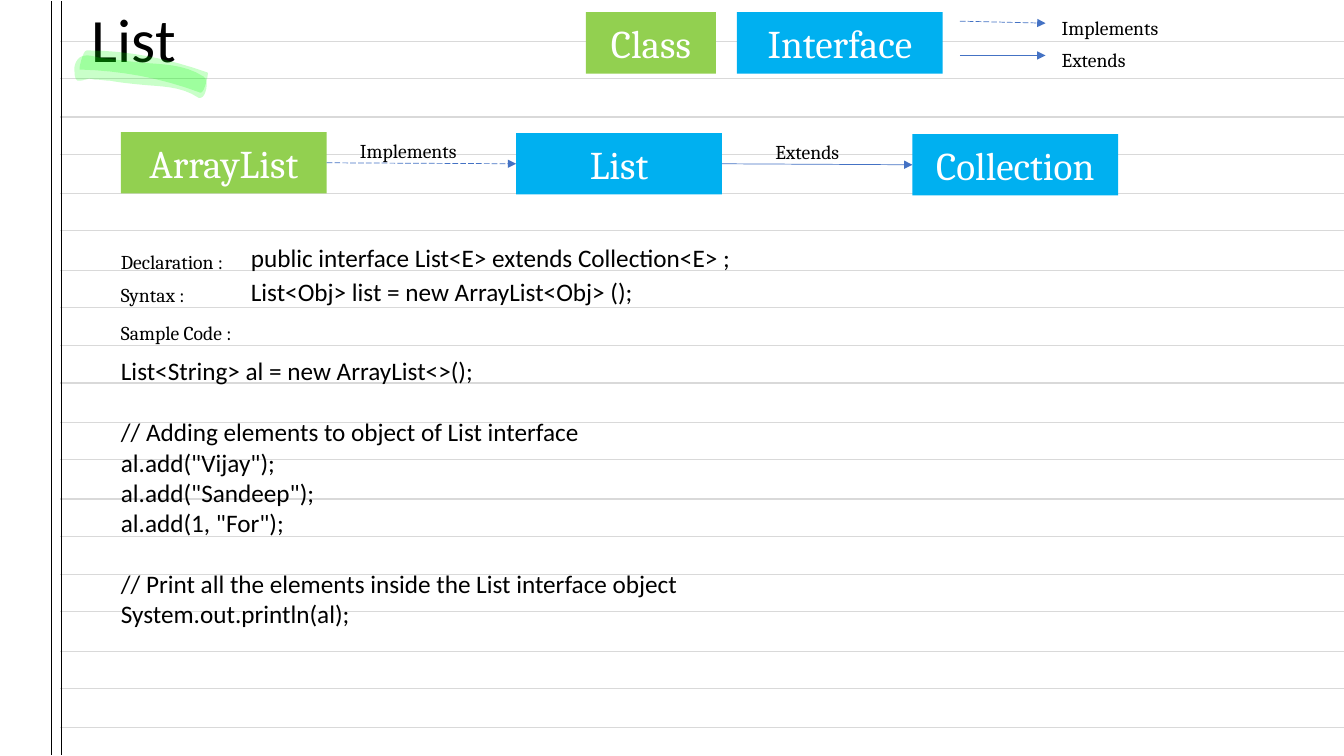
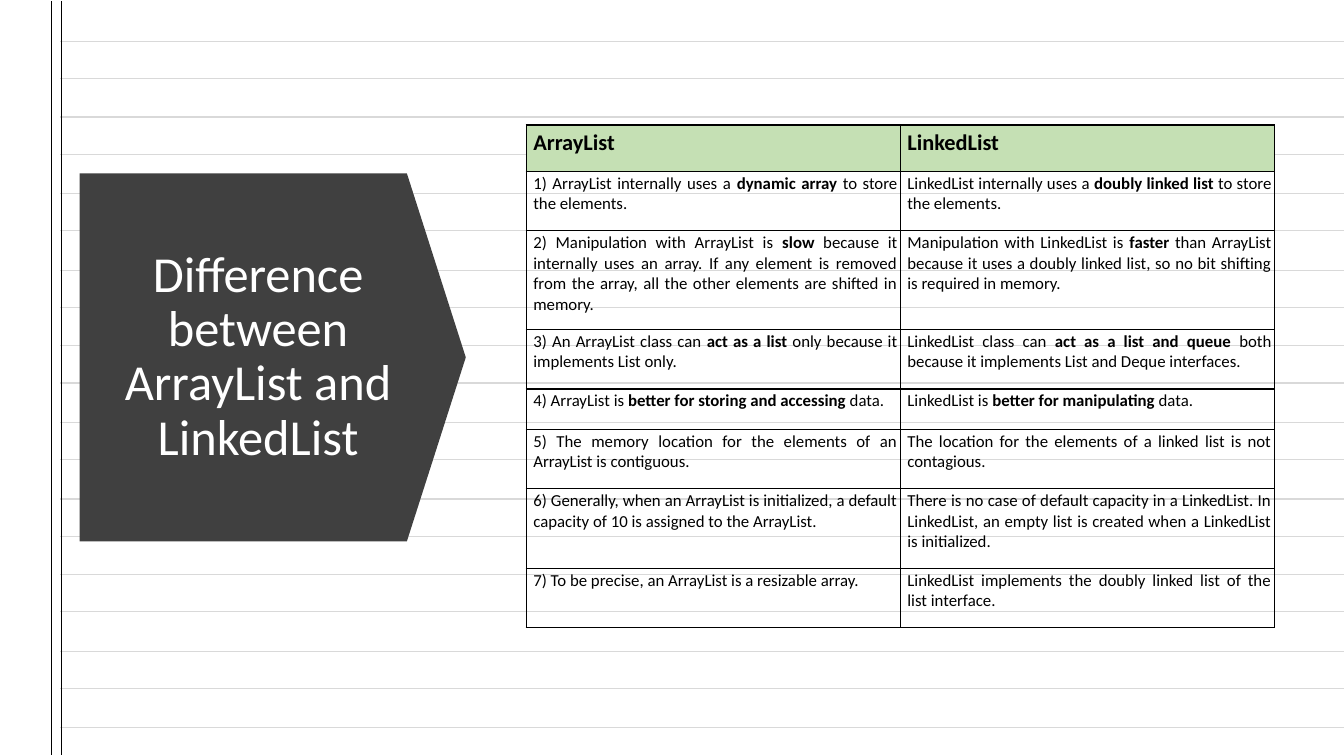
from dataclasses import dataclass, field
from typing import Any

from lxml.etree import SubElement
from pptx import Presentation
from pptx.dml.color import RGBColor
from pptx.enum.dml import MSO_LINE
from pptx.enum.shapes import MSO_CONNECTOR, MSO_SHAPE
from pptx.enum.text import MSO_ANCHOR as Anchor, PP_ALIGN as Align
from pptx.oxml.ns import qn
from pptx.util import Emu, Pt

# Scale, colours and fonts
EMU_PER_PX = 9144
WIDTH, HEIGHT = 1333, 750
BLACK, WHITE, RULE_GREY, CHARCOAL = "000000", "FFFFFF", "D9D9D9", "404040"
CLASS_GREEN, INTERFACE_BLUE, ARROW_BLUE = "92D050", "00B0F0", "4472C4"
MARKER_GREEN, HEADER_GREEN = "00FF00", "C5E0B4"
SANS, SERIF = "Calibri", "Cambria"

# Ruled paper: lines come in pairs, three pairs to 227 px
RULE_START, RULE_COUNT, PAIR_OFFSET = 41, 19, 37
MARGIN_LINES = (51, 61)


def px(value: float) -> Emu:
    return Emu(round(value * EMU_PER_PX))


def rgb(value: str) -> RGBColor:
    return RGBColor.from_string(value)


@dataclass(frozen=True)
class Style:
    font: dict[str, Any]
    color: str = BLACK
    paragraph: dict[str, Any] = field(default_factory=dict)
    anchor: Any = Anchor.TOP
    insets: tuple[int, int, int, int] = (10, 5, 10, 5)


@dataclass(frozen=True)
class Label:
    text: str
    left: int
    top: int
    width: int
    height: int
    style: Style


@dataclass(frozen=True)
class TypeBox:
    text: str
    left: int
    top: int
    width: int
    fill: str


@dataclass(frozen=True)
class Arrow:
    start: tuple[int, int]
    end: tuple[int, int]
    dashed: bool


NO_INSETS = (0, 0, 0, 0)
TITLE = Style({"name": SANS, "size": Pt(44)}, paragraph={"line_spacing": 0.9}, insets=NO_INSETS)
ARROW_TITLE = Style({"name": SANS, "size": Pt(36)}, WHITE,
                    {"line_spacing": 0.9, "alignment": Align.CENTER}, Anchor.MIDDLE)
CAPTION = Style({"name": SERIF, "size": Pt(14)}, paragraph={"line_spacing": 1.3}, insets=NO_INSETS)
CODE = Style({"name": SANS, "size": Pt(18)})
BOX = Style({"name": SERIF, "size": Pt(28)}, WHITE, {"alignment": Align.CENTER}, Anchor.MIDDLE)
HEADER = Style({"name": SANS, "size": Pt(16), "bold": True}, anchor=Anchor.BOTTOM,
               insets=(7, 2, 5, 15))
CELL = Style({"name": SANS, "size": Pt(12)}, paragraph={"alignment": Align.JUSTIFY},
             insets=(7, 2, 3, 15))


# Text
def set_all(target: Any, values: dict[str, Any]) -> None:
    for name, value in values.items():
        setattr(target, name, value)


def write_paragraph(paragraph: Any, text: str, style: Style) -> None:
    """Write one paragraph; parts between asterisks are bold."""
    set_all(paragraph, style.paragraph)
    for index, part in enumerate(text.split("*")):
        if part:
            run = paragraph.add_run()
            run.text = part
            set_all(run.font, {"bold": index % 2 == 1} | style.font)
            run.font.color.rgb = rgb(style.color)


def set_margins(target: Any, style: Style) -> None:
    sides = ("margin_left", "margin_top", "margin_right", "margin_bottom")
    set_all(target, {side: px(inset) for side, inset in zip(sides, style.insets)})
    target.vertical_anchor = style.anchor


def add_label(slide: Any, label: Label) -> Any:
    box = slide.shapes.add_textbox(*map(px, (label.left, label.top, label.width, label.height)))
    frame = box.text_frame
    frame.word_wrap = True
    set_margins(frame, label.style)
    write_paragraph(frame.paragraphs[0], label.text, label.style)
    return frame


# Shapes and lines
def paint(shape: Any, fill: str) -> None:
    shape.shadow.inherit = False
    shape.fill.solid()
    shape.fill.fore_color.rgb = rgb(fill)
    shape.line.fill.background()


def add_type_box(slide: Any, box: TypeBox) -> Any:
    shape = slide.shapes.add_shape(
        MSO_SHAPE.RECTANGLE, *map(px, (box.left, box.top, box.width, 61)))
    paint(shape, box.fill)
    set_margins(shape.text_frame, BOX)
    write_paragraph(shape.text_frame.paragraphs[0], box.text, BOX)
    return shape


def add_line(slide: Any, start: tuple[int, int], end: tuple[int, int],
             color: str, width: float) -> Any:
    line = slide.shapes.add_connector(MSO_CONNECTOR.STRAIGHT, *map(px, start + end))
    line.line.color.rgb = rgb(color)
    line.line.width = Pt(width)
    SubElement(line._element.spPr, qn("a:effectLst"))
    return line


def add_arrow(slide: Any, arrow: Arrow) -> Any:
    line = add_line(slide, arrow.start, arrow.end, ARROW_BLUE, 0.5)
    if arrow.dashed:
        line.line.dash_style = MSO_LINE.LONG_DASH
    SubElement(line.line._get_or_add_ln(), qn("a:tailEnd"), type="triangle")
    return line


def curve_points(start: tuple, curve: tuple, steps: int = 8) -> list[tuple[float, float]]:
    """Points along a cubic curve given by two controls and an end."""
    points = (start, curve[0:2], curve[2:4], curve[4:6])
    result = []
    for step in range(1, steps + 1):
        t = step / steps
        weights = ((1 - t) ** 3, 3 * t * (1 - t) ** 2, 3 * t * t * (1 - t), t ** 3)
        result.append(tuple(sum(w * p[axis] for w, p in zip(weights, points))
                            for axis in (0, 1)))
    return result


def add_marker_stroke(slide: Any, start: tuple, curves: list[tuple]) -> None:
    outline = [start]
    for curve in curves:
        outline += curve_points(outline[-1], curve)
    vertices = [(px(x), px(y)) for x, y in outline]
    builder = slide.shapes.build_freeform(*vertices[0], scale=1.0)
    builder.add_line_segments(vertices[1:], close=True)
    stroke = builder.convert_to_shape()
    paint(stroke, MARKER_GREEN)
    color = stroke._element.spPr.find(qn("a:solidFill")).find(qn("a:srgbClr"))
    SubElement(color, qn("a:alpha"), val="21000")


def add_ruled_slide(presentation: Any) -> Any:
    slide = presentation.slides.add_slide(presentation.slide_layouts[6])
    for index in range(RULE_COUNT):
        y = RULE_START + 227 * (index // 2) // 3 + PAIR_OFFSET * (index % 2)
        add_line(slide, (60, y), (WIDTH, y), RULE_GREY, 0.86)
    for x in MARGIN_LINES:
        add_line(slide, (x, 1), (x, 749), BLACK, 0.62)
    return slide


# Slide 1: the List interface
MARKER_STROKES = [
    ((86, 50), [(126, 50, 167, 58, 206, 72), (207, 73, 203, 92, 199, 92),
                (159, 77, 119, 70, 79, 69), (78, 69, 82, 50, 86, 50)]),
    ((87, 55), [(92, 55, 99, 58, 104, 58), (115, 59, 127, 61, 139, 62),
                (159, 64, 182, 63, 202, 76), (208, 80, 204, 97, 199, 97),
                (198, 97, 197, 97, 197, 97), (179, 85, 159, 86, 140, 84),
                (130, 83, 119, 82, 109, 80), (104, 80, 100, 79, 95, 79),
                (93, 79, 90, 78, 88, 78), (88, 78, 86, 79, 84, 79),
                (82, 80, 80, 80, 77, 80), (75, 79, 74, 76, 74, 72),
                (73, 66, 75, 61, 78, 58), (80, 56, 83, 55, 87, 55)]),
]
LEGEND_BOXES = [TypeBox("Class", 581, 12, 129, CLASS_GREEN),
                TypeBox("Interface", 731, 12, 204, INTERFACE_BLUE)]
CHAIN_BOXES = [TypeBox("ArrayList", 120, 131, 204, CLASS_GREEN),
               TypeBox("List", 512, 132, 204, INTERFACE_BLUE),
               TypeBox("Collection", 905, 133, 204, INTERFACE_BLUE)]
LEGEND_ARROWS = [Arrow((952, 21), (1037, 23), True), Arrow((952, 55), (1037, 55), False)]
CAPTIONS = [("Implements", 1053, 9), ("Extends", 1053, 41),
            ("Implements", 357, 131), ("Extends", 769, 132),
            ("Declaration :", 120, 241), ("Syntax :", 120, 274), ("Sample Code :", 120, 311)]
SIGNATURES = [Label("public interface List<E> extends Collection<E> ;", 239, 236, 507, 40, CODE),
              Label("List<Obj> list = new ArrayList<Obj> ();", 239, 269, 409, 40, CODE)]
SAMPLE_BLOCKS = [
    ["        List<String> al = new ArrayList<>();"],
    ["        // Adding elements to object of List interface",
     '        al.add("Vijay");',
     '        al.add("Sandeep");',
     '        al.add(1, "For");'],
    ["        // Print all the elements inside the List interface object",
     "        System.out.println(al);"],
]


def build_list_slide(presentation: Any) -> None:
    slide = add_ruled_slide(presentation)
    add_label(slide, Label("List", 91, 9, 204, 94, TITLE))
    for start, curves in MARKER_STROKES:
        add_marker_stroke(slide, start, curves)

    # Legend and inheritance chain
    for box in LEGEND_BOXES:
        add_type_box(slide, box)
    for arrow in LEGEND_ARROWS:
        add_arrow(slide, arrow)
    chain = [add_type_box(slide, box) for box in CHAIN_BOXES]
    for source, target, dashed in zip(chain, chain[1:], (True, False)):
        connector = add_arrow(slide, Arrow((0, 0), (1, 1), dashed))
        connector.begin_connect(source, 3)
        connector.end_connect(target, 1)
    for text, left, top in CAPTIONS:
        add_label(slide, Label(text, left, top, 135, 28, CAPTION))

    # Code
    for signature in SIGNATURES:
        add_label(slide, signature)
    first_line = SAMPLE_BLOCKS[0][0]
    frame = add_label(slide, Label(first_line, 65, 348, 667, 283, CODE))
    for block in SAMPLE_BLOCKS[1:]:
        for index, line in enumerate(block):
            paragraph = frame.add_paragraph()
            if index == 0:
                paragraph.space_before = Pt(22)
            write_paragraph(paragraph, line, CODE)


# Slide 2: comparison table
ROW_HEIGHTS = (46, 59, 98, 59, 40, 59, 79, 59)
COLUMN_WIDTH = 371
COMPARISON = [
    ("ArrayList", "LinkedList"),
    ("1) ArrayList internally uses a *dynamic array* to store the elements.",
     "LinkedList internally uses a *doubly linked list* to store the elements."),
    ("2) Manipulation with ArrayList is *slow* because it internally uses an array. If any "
     "element is removed from the array, all the other elements are shifted in memory.",
     "Manipulation with LinkedList is *faster* than ArrayList because it uses a doubly linked "
     "list, so no bit shifting is required in memory."),
    ("3) An ArrayList class can *act as a list* only because it implements List only.",
     "LinkedList class can *act as a list and queue* both because it implements List and "
     "Deque interfaces."),
    ("4) ArrayList is *better for storing and accessing* data.",
     "LinkedList is *better for manipulating* data."),
    ("5) The memory location for the elements of an ArrayList is contiguous.",
     "The location for the elements of a linked list is not contagious."),
    ("6) Generally, when an ArrayList is initialized, a default capacity of 10 is assigned to "
     "the ArrayList.",
     "There is no case of default capacity in a LinkedList. In LinkedList, an empty list is "
     "created when a LinkedList is initialized."),
    ("7) To be precise, an ArrayList is a resizable array.",
     "LinkedList implements the doubly linked list of the list interface."),
]


def add_borders(cell: Any) -> None:
    properties = cell._tc.get_or_add_tcPr()
    for index, side in enumerate(("lnL", "lnR", "lnT", "lnB")):
        line = properties.makeelement(qn(f"a:{side}"), {"w": str(Pt(1))})
        SubElement(SubElement(line, qn("a:solidFill")), qn("a:srgbClr"), val=BLACK)
        properties.insert(index, line)


def build_difference_slide(presentation: Any) -> None:
    slide = add_ruled_slide(presentation)
    arrow = slide.shapes.add_shape(MSO_SHAPE.DOWN_ARROW, *map(px, (88, 163, 365, 383)))
    arrow.rotation = 270
    arrow.adjustments[0], arrow.adjustments[1] = 1, 0.16
    paint(arrow, CHARCOAL)
    add_label(slide, Label("Difference between ArrayList and LinkedList",
                           112, 215, 288, 279, ARROW_TITLE))

    table = slide.shapes.add_table(len(COMPARISON), 2, *map(
        px, (522, 124, 2 * COLUMN_WIDTH, sum(ROW_HEIGHTS)))).table
    set_all(table, {"first_row": False, "horz_banding": False})
    for column in table.columns:
        column.width = px(COLUMN_WIDTH)
    for row_index, (row, texts) in enumerate(zip(table.rows, COMPARISON)):
        row.height = px(ROW_HEIGHTS[row_index])
        style = CELL if row_index else HEADER
        for cell, text in zip(row.cells, texts):
            set_margins(cell, style)
            write_paragraph(cell.text_frame.paragraphs[0], text, style)
            if row_index:
                cell.fill.background()
            else:
                cell.fill.solid()
                cell.fill.fore_color.rgb = rgb(HEADER_GREEN)
            add_borders(cell)


def main() -> None:
    presentation = Presentation()
    set_all(presentation, {"slide_width": px(WIDTH), "slide_height": px(HEIGHT)})
    build_list_slide(presentation)
    build_difference_slide(presentation)
    presentation.save("out.pptx")


if __name__ == "__main__":
    main()
